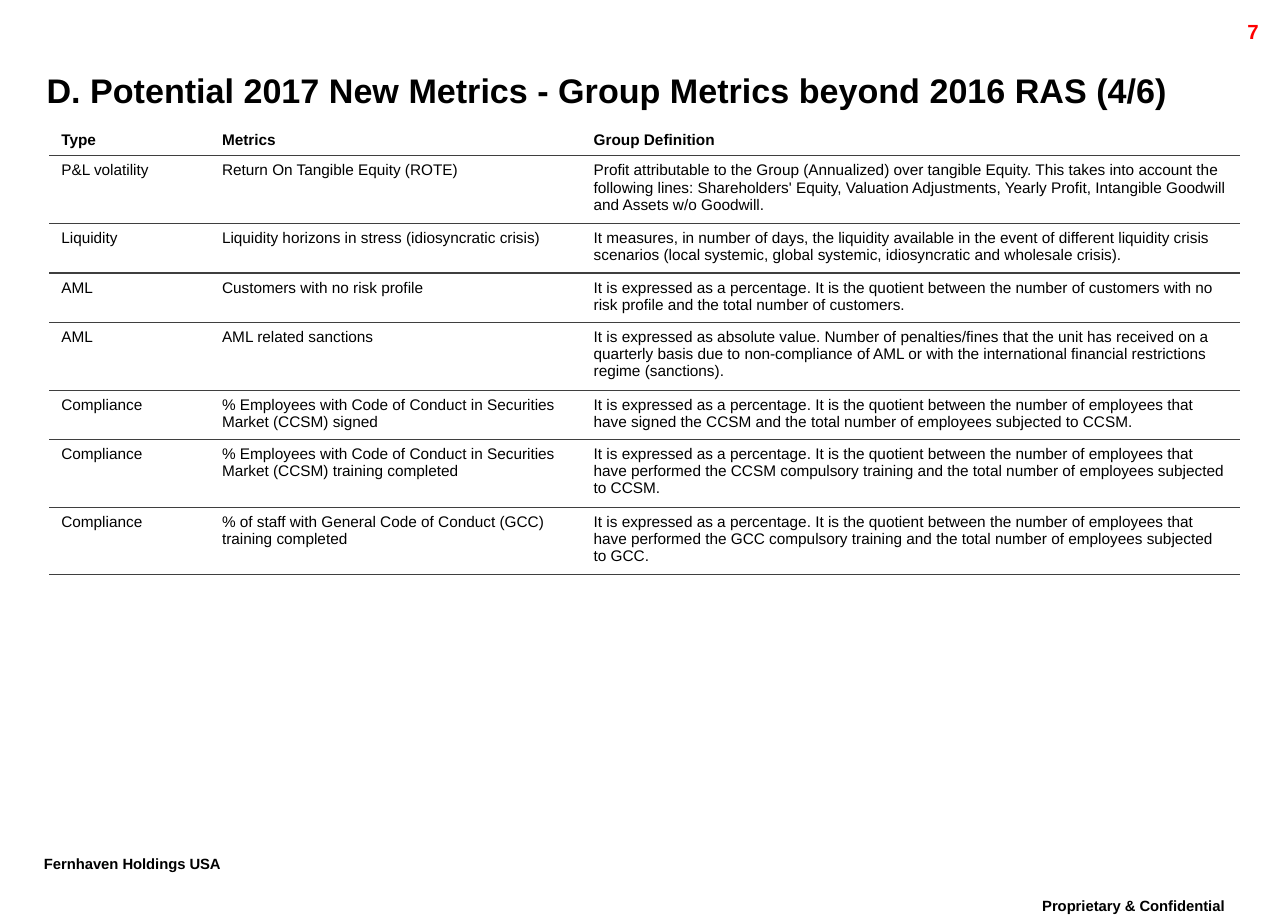
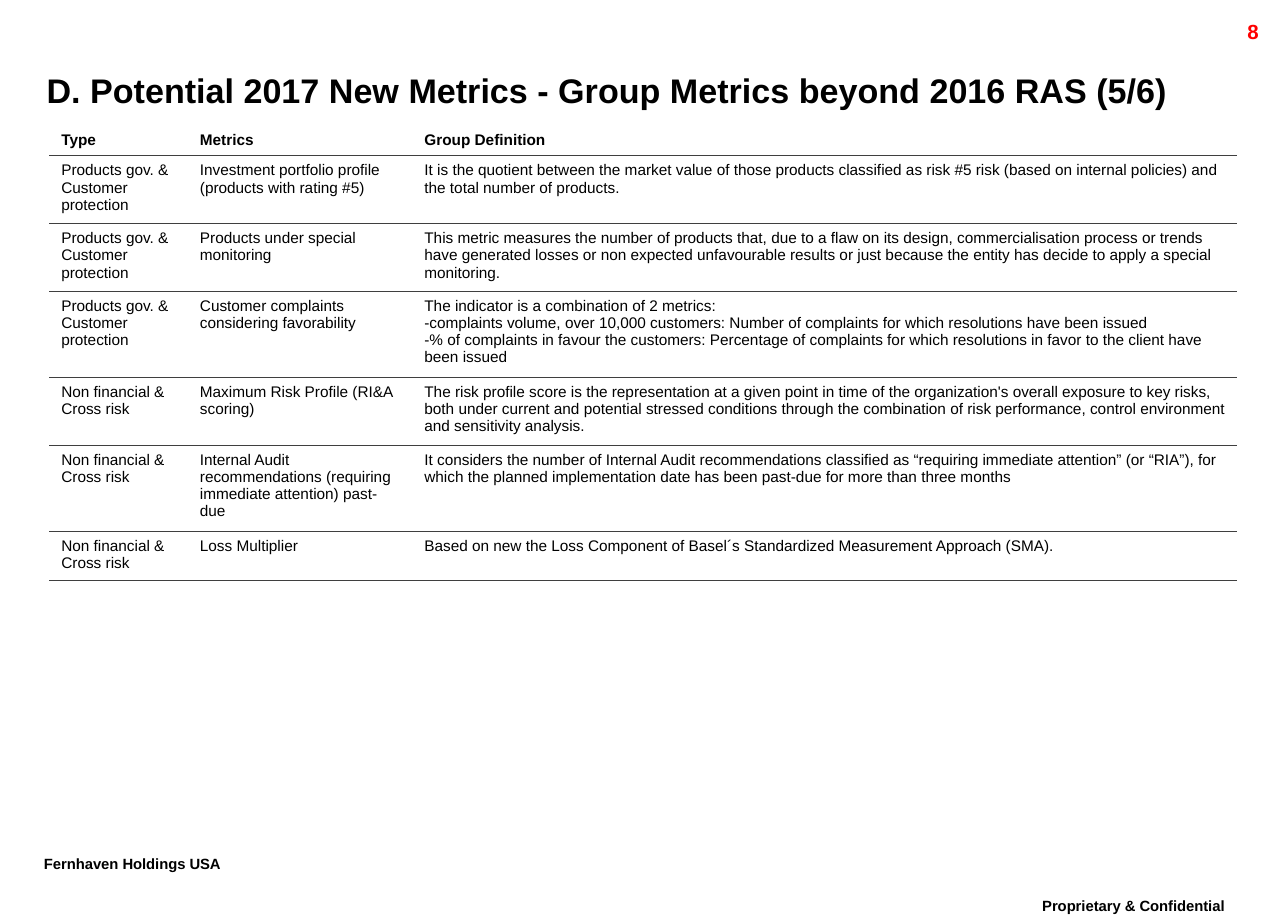
"""Build two slides of proposed group risk metrics, each with one ruled table."""
from dataclasses import dataclass

from lxml import etree
from pptx import Presentation
from pptx import util as u
from pptx.dml.color import RGBColor
from pptx.enum import text
from pptx.oxml import ns

Pt = u.Pt


@dataclass(frozen=True)
class Theme:
    font: str = "Arial"
    ink: str = "000000"
    accent: str = "FF0000"
    rule: str = "3F3F3F"
    paper: str = "FFFFFF"
    title_size: float = 20
    number_size: float = 12
    body_size: float = 9
    footer_size: float = 15
    rule_width: float = 0.75


@dataclass(frozen=True)
class Label:
    left: float
    top: float
    width: float
    height: float
    size: float
    color: str
    align: text.PP_ALIGN = text.PP_ALIGN.LEFT
    anchor: text.MSO_ANCHOR = text.MSO_ANCHOR.TOP
    inset: tuple[float, float] = (7.2, 3.6)
    wrap: bool = True
    raised: bool = False


@dataclass(frozen=True)
class Metric:
    kind: str
    name: str
    definition: str
    lines: int


@dataclass(frozen=True)
class MetricPage:
    number: int
    sequence: str
    columns: tuple[float, float, float]
    metrics: tuple[Metric, ...]


THEME = Theme()
TITLE = Label(27.36, 35.28, 682.56, 34.56, THEME.title_size, THEME.ink,
              anchor=text.MSO_ANCHOR.MIDDLE, inset=(0, 0))
NUMBER = Label(673.92, 7.92, 72, 17.28, THEME.number_size, THEME.accent,
               align=text.PP_ALIGN.RIGHT)
CLASSIFICATION = Label(586.8, 521, 156.96, 23.76, THEME.footer_size, THEME.ink,
                       align=text.PP_ALIGN.CENTER, raised=True)
HOLDER = Label(18.72, 496.5, 137.52, 23.04, THEME.footer_size, THEME.ink,
               wrap=False, raised=True)

TABLE_LEFT, TABLE_TOP = 28.8, 73.44
HEADER_HEIGHT, LINE_HEIGHT, ROW_PADDING = 17.6, 10.75, 7.5
HEADINGS = ("Type", "Metrics", "Group Definition")

PRODUCTS = "Products gov. & Customer protection"
CROSS_RISK = "Non financial & Cross risk"
QUOTIENT = "It is expressed as a percentage. It is the quotient between the number of "

PAGES = (
    MetricPage(7, "4/6", (94.32, 218.16, 386.64), (
        Metric("P&L volatility", "Return On Tangible Equity (ROTE)",
               "Profit attributable to the Group (Annualized) over tangible Equity. "
               "This takes into account the following lines: Shareholders' Equity, "
               "Valuation Adjustments, Yearly Profit, Intangible Goodwill and Assets "
               "w/o Goodwill.", 3),
        Metric("Liquidity", "Liquidity horizons in stress (idiosyncratic crisis)",
               "It measures, in number of days, the liquidity available in the event of "
               "different liquidity crisis scenarios (local systemic, global systemic, "
               "idiosyncratic and wholesale crisis).", 2),
        Metric("AML", "Customers with no risk profile",
               QUOTIENT + "customers with no risk profile and the total number of "
               "customers.", 2),
        Metric("AML", "AML related sanctions",
               "It is expressed as absolute value. Number of penalties/fines that the "
               "unit has received on a quarterly basis due to non-compliance of AML or "
               "with the international financial restrictions regime (sanctions).", 3),
        Metric("Compliance",
               "% Employees with Code of Conduct in Securities Market (CCSM) signed",
               QUOTIENT + "employees that have signed the CCSM and the total number of "
               "employees subjected to CCSM.", 2),
        Metric("Compliance",
               "% Employees with Code of Conduct in Securities Market (CCSM) training "
               "completed",
               QUOTIENT + "employees that have performed the CCSM compulsory training "
               "and the total number of employees subjected to CCSM.", 3),
        Metric("Compliance",
               "% of staff with General Code of Conduct (GCC) training completed",
               QUOTIENT + "employees that have performed the GCC compulsory training "
               "and the total number of employees subjected to GCC.", 3),
    )),
    MetricPage(8, "5/6", (81.36, 131.76, 484.2), (
        Metric(PRODUCTS, "Investment portfolio profile (products with rating #5)",
               "It is the quotient between the market value of those products classified "
               "as risk #5 risk (based on internal policies) and the total number of "
               "products.", 3),
        Metric(PRODUCTS, "Products under special monitoring",
               "This metric measures the number of products that, due to a flaw on its "
               "design, commercialisation process or trends have generated losses or non "
               "expected unfavourable results or just because the entity has decide to "
               "apply a special monitoring.", 3),
        Metric(PRODUCTS, "Customer complaints considering favorability",
               "The indicator is a combination of 2 metrics:\n"
               "-complaints volume, over 10,000 customers: Number of complaints for "
               "which resolutions have been issued\n"
               "-% of complaints in favour the customers: Percentage of complaints for "
               "which resolutions in favor to the client have been issued", 4),
        Metric(CROSS_RISK, "Maximum Risk Profile (RI&A scoring)",
               "The risk profile score is the representation at a given point in time of "
               "the organization's overall exposure to key risks, both under current and "
               "potential stressed conditions through the combination of risk "
               "performance, control environment and sensitivity analysis.", 3),
        Metric(CROSS_RISK,
               "Internal Audit recommendations (requiring immediate attention) past-due",
               "It considers the number of Internal Audit recommendations classified as "
               "“requiring immediate attention” (or “RIA”), for which the planned "
               "implementation date has been past-due for more than three months", 4),
        Metric(CROSS_RISK, "Loss Multiplier",
               "Based on new the Loss Component of Basel´s Standardized Measurement "
               "Approach (SMA).", 2),
    )),
)


def add_run(paragraph, words: str, size: float, color: str, bold: bool):
    run = paragraph.add_run()
    run.text = words
    run.font.name = THEME.font
    run.font.size = Pt(size)
    run.font.bold = bold
    run.font.color.rgb = RGBColor.from_string(color)
    return run


def add_label(slide, words: str, label: Label) -> None:
    box = slide.shapes.add_textbox(
        Pt(label.left), Pt(label.top), Pt(label.width), Pt(label.height))
    frame = box.text_frame
    frame.word_wrap = label.wrap
    frame.vertical_anchor = label.anchor
    frame.margin_left = frame.margin_right = Pt(label.inset[0])
    frame.margin_top = frame.margin_bottom = Pt(label.inset[1])
    paragraph = frame.paragraphs[0]
    paragraph.alignment = label.align
    run = add_run(paragraph, words, label.size, label.color, True)
    if label.raised:
        run._r.get_or_add_rPr().set("baseline", "30000")


def rule_cell(cell, is_header: bool) -> None:
    cell.fill.background()
    properties = cell._tc.get_or_add_tcPr()
    ruled = {"lnL": False, "lnR": False, "lnT": not is_header, "lnB": True}
    for position, (edge, visible) in enumerate(ruled.items()):
        line = etree.Element(ns.qn(f"a:{edge}"), w=str(Pt(THEME.rule_width)))
        if visible:
            fill = etree.SubElement(line, ns.qn("a:solidFill"))
            etree.SubElement(fill, ns.qn("a:srgbClr"), val=THEME.rule)
        else:
            etree.SubElement(line, ns.qn("a:noFill"))
        properties.insert(position, line)


def fill_cell(cell, words: str, is_header: bool) -> None:
    cell.margin_left = cell.margin_right = Pt(7.2)
    cell.margin_top = cell.margin_bottom = Pt(3.6)
    frame = cell.text_frame
    for index, sentence in enumerate(words.split("\n")):
        paragraph = frame.add_paragraph() if index else frame.paragraphs[0]
        paragraph.alignment = text.PP_ALIGN.LEFT
        add_run(paragraph, sentence, THEME.body_size, THEME.ink, is_header)
    rule_cell(cell, is_header)


def add_metric_table(slide, page: MetricPage) -> None:
    heights = [HEADER_HEIGHT] + [
        metric.lines * LINE_HEIGHT + ROW_PADDING for metric in page.metrics]
    entries = [HEADINGS] + [
        (metric.kind, metric.name, metric.definition) for metric in page.metrics]
    table = slide.shapes.add_table(
        len(entries), len(HEADINGS), Pt(TABLE_LEFT), Pt(TABLE_TOP),
        Pt(sum(page.columns)), Pt(sum(heights))).table
    table.horz_banding = False
    for column, width in zip(table.columns, page.columns):
        column.width = Pt(width)
    for index, (row, height, entry) in enumerate(zip(table.rows, heights, entries)):
        row.height = Pt(height)
        for cell, words in zip(row.cells, entry):
            fill_cell(cell, words, index == 0)


def add_page(deck, page: MetricPage) -> None:
    slide = deck.slides.add_slide(deck.slide_layouts[6])
    slide.background.fill.solid()
    slide.background.fill.fore_color.rgb = RGBColor.from_string(THEME.paper)
    add_label(slide, "Proprietary & Confidential", CLASSIFICATION)
    add_label(slide, "Fernhaven Holdings USA", HOLDER)
    add_label(slide, str(page.number), NUMBER)
    add_metric_table(slide, page)
    add_label(slide, "D. Potential 2017 New Metrics - Group Metrics beyond 2016 RAS "
              f"({page.sequence})", TITLE)


def main() -> None:
    deck = Presentation()
    deck.slide_width, deck.slide_height = Pt(756), Pt(540)
    for page in PAGES:
        add_page(deck, page)
    deck.save("out.pptx")


if __name__ == "__main__":
    main()
